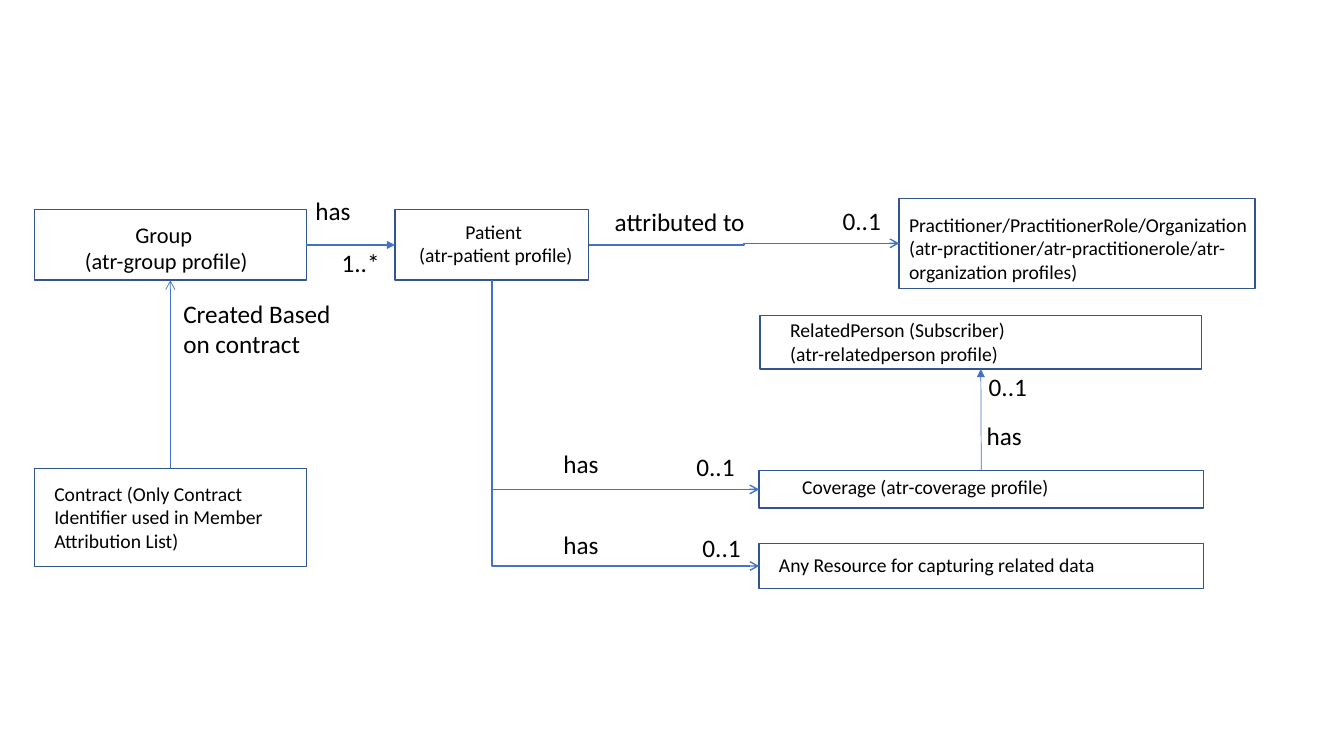
from lxml.etree import SubElement
from pptx import Presentation
from pptx.dml.color import RGBColor
from pptx.enum.shapes import MSO_CONNECTOR, MSO_SHAPE
from pptx.enum.text import MSO_AUTO_SIZE, PP_ALIGN
from pptx.oxml.ns import qn
from pptx.util import Inches, Pt

# Lengths are cells of a square grid, ten to the inch
COLUMNS, ROWS = 133.33, 75
FONT, TEXT, BORDER, ARROW = "Calibri", "000000", "325491", "4472C4"
TOP, LEFT, BOTTOM, RIGHT = range(4)
CENTERED, AT_LEFT = PP_ALIGN.CENTER, PP_ALIGN.LEFT

# Box name: left, top, width, height
BOXES = {
    "group": (3.4, 20.8, 27, 7),
    "patient": (39.2, 20.8, 19.2, 7),
    "practitioner": (89.2, 19.7, 35.3, 8.9),
    "related person": (75.4, 31.3, 43.8, 5.3),
    "coverage": (75.3, 46.7, 44.1, 3.7),
    "contract": (3.4, 46.5, 27, 9.7),
    "any resource": (75.3, 53.9, 44.1, 4.5),
}

# Paragraphs, place, size, alignment, wrap
CAPTIONS = [
    (["Group ", "(atr-group profile)"], (7.3, 21.4, 18.4, 6.4), 16, CENTERED, False),
    (["Patient ", "(atr-patient profile)"], (37.4, 21.3, 23.6, 5.7), 14, CENTERED, True),
    (["Practitioner/PractitionerRole/Organization",
      "(atr-practitioner/atr-practitionerole/atr-organization profiles)"],
     (89.2, 20.6, 36.1, 8.1), 14, AT_LEFT, True),
    (["RelatedPerson (Subscriber)", "(atr-relatedperson profile)"],
     (77.4, 31.1, 23.5, 5.7), 14, AT_LEFT, False),
    (["Coverage (atr-coverage profile)"], (78.6, 46.6, 34.3, 3.4), 14, AT_LEFT, True),
    (["Contract (Only Contract Identifier used in Member Attribution List)"],
     (4.4, 47.3, 23.3, 8.1), 14, AT_LEFT, True),
    (["Any Resource for capturing related data"],
     (76.3, 54.4, 36.6, 3.4), 14, AT_LEFT, False),
    (["Created Based on contract"], (17.2, 29.1, 17.1, 10.1), 18, AT_LEFT, True),
]

# Relation labels: width, then left and top of each use
LABELS = {
    "has": (6.1, [(30.3, 18.9), (54.9, 52), (54.9, 44), (96.9, 41.2)]),
    "0..1": (5.8, [(82.6, 19.9), (68.7, 52.3), (68.1, 44.3), (97.1, 36.3)]),
    "1..*": (5.8, [(32.9, 24)]),
    "attributed to": (15.7, [(60, 20)]),
}
LABEL_HEIGHT = 4

# From box, side, to box, side, kind, line width, arrowhead
STRAIGHT, ELBOW = MSO_CONNECTOR.STRAIGHT, MSO_CONNECTOR.ELBOW
LINKS = [
    ("group", RIGHT, "patient", LEFT, STRAIGHT, 1, "triangle"),
    ("patient", RIGHT, "practitioner", LEFT, ELBOW, 1, "arrow"),
    ("contract", TOP, "group", BOTTOM, STRAIGHT, 0.5, "arrow"),
    ("coverage", TOP, "related person", BOTTOM, STRAIGHT, 0.5, "triangle"),
]
# Boxes reached from the bottom of the patient box by one corner
BRANCHES = ["any resource", "coverage"]


def color(value):
    return RGBColor.from_string(value)


def cells(*values):
    return [Inches(value / 10) for value in values]


def side_point(name, side):
    left, top, width, height = BOXES[name]
    return {TOP: (left + width / 2, top), LEFT: (left, top + height / 2),
            BOTTOM: (left + width / 2, top + height),
            RIGHT: (left + width, top + height / 2)}[side]


def add_box(place):
    shape = slide.shapes.add_shape(MSO_SHAPE.RECTANGLE, *cells(*place))
    shape.shadow.inherit = False
    shape.fill.background()
    shape.line.color.rgb = color(BORDER)
    shape.line.width = Pt(1)
    return shape


def add_text(lines, place, size, alignment, wrap):
    frame = slide.shapes.add_textbox(*cells(*place)).text_frame
    frame.word_wrap = wrap
    frame.auto_size = MSO_AUTO_SIZE.SHAPE_TO_FIT_TEXT
    frame.text = "\n".join(lines)
    for paragraph in frame.paragraphs:
        paragraph.alignment = alignment
        font = paragraph.runs[0].font
        for key, value in {"name": FONT, "size": Pt(size)}.items():
            setattr(font, key, value)
        font.color.rgb = color(TEXT)


def add_link(kind, start, end, width, head):
    connector = slide.shapes.add_connector(kind, *cells(*start, *end))
    connector.line.color.rgb = color(ARROW)
    connector.line.width = Pt(width)
    SubElement(connector.line._get_or_add_ln(), qn("a:tailEnd"), type=head)
    SubElement(connector._element.spPr, qn("a:effectLst"))
    return connector


def add_branch(start, end):
    # A quarter turn and a flip make the corner run down, then right
    (x1, y1), (x2, y2) = start, end
    middle_x, middle_y = (x1 + x2) / 2, (y1 + y2) / 2
    across, down = (x2 - x1) / 2, (y2 - y1) / 2
    connector = add_link(ELBOW, (middle_x + down, middle_y - across),
                         (middle_x - down, middle_y + across), 1, "arrow")
    properties = connector._element.spPr
    properties.find(qn("a:xfrm")).set("rot", str(270 * 60000))
    properties.find(qn("a:prstGeom")).set("prst", "bentConnector2")


presentation = Presentation()
presentation.slide_width, presentation.slide_height = cells(COLUMNS, ROWS)
slide = presentation.slides.add_slide(presentation.slide_layouts[6])

# Boxes
shapes = {name: add_box(place) for name, place in BOXES.items()}

# Arrows
for source, start, target, end, kind, width, head in LINKS:
    link = add_link(kind, side_point(source, start), side_point(target, end), width, head)
    link.begin_connect(shapes[source], start)
    link.end_connect(shapes[target], end)
for target in BRANCHES:
    add_branch(side_point("patient", BOTTOM), side_point(target, LEFT))

# Captions and relation labels
for caption in CAPTIONS:
    add_text(*caption)
for label, (width, spots) in LABELS.items():
    for spot in spots:
        add_text([label], (*spot, width, LABEL_HEIGHT), 18, AT_LEFT, False)

presentation.save("out.pptx")
